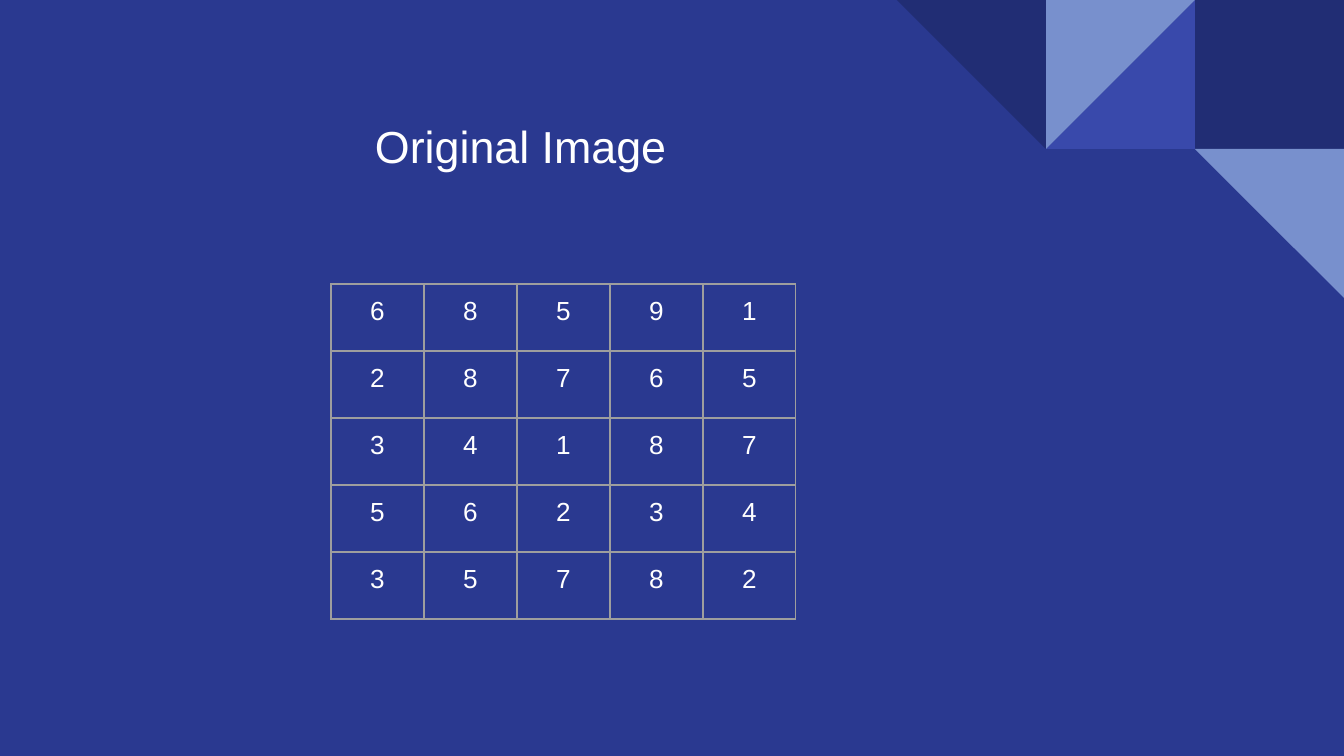
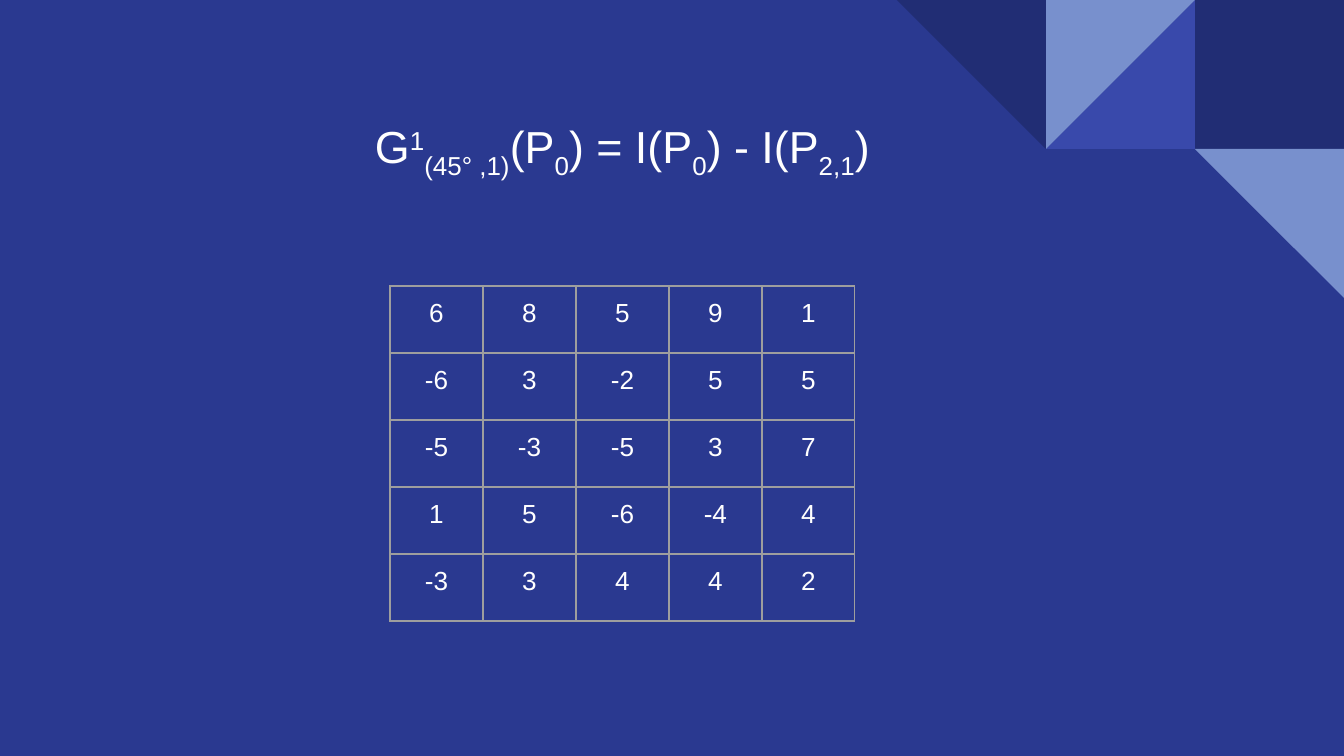
from lxml import etree
from pptx import Presentation
from pptx.dml.color import RGBColor
from pptx.enum import shapes, text
from pptx.oxml import ns
from pptx.util import Emu, Pt

WIDTH, HEIGHT = 1344, 756
TILE = 149
CELL_W, CELL_H = 93, 67
INSET = 13
FONT = "Arial"
BLUE, NAVY, INDIGO, SKY = "2A3990", "212D74", "3949AB", "7890CD"
WHITE, GREY = "FFFFFF", "9E9E9E"
SUP, SUB = 30, -25

CORNER_TILES = [
    (2, 0, "RECTANGLE", NAVY, 0, False),
    (1, 0, "RIGHT_TRIANGLE", INDIGO, 0, True),
    (1, 0, "RIGHT_TRIANGLE", SKY, 180, True),
    (0, 0, "RIGHT_TRIANGLE", NAVY, 180, False),
    (2, 1, "RIGHT_TRIANGLE", SKY, 180, False),
]

SLIDES = [
    {
        "title": [("Original Image", 0)],
        "title_box": (362, 106, 427, 86),
        "grid_at": (331, 284),
        "values": [
            [6, 8, 5, 9, 1],
            [2, 8, 7, 6, 5],
            [3, 4, 1, 8, 7],
            [5, 6, 2, 3, 4],
            [3, 5, 7, 8, 2],
        ],
    },
    {
        "title": [
            ("G", 0), ("1", SUP), ("(45° ,1)", SUB), ("(P", 0), ("0", SUB),
            (") = I(P", 0), ("0", SUB), (") - I(P", 0), ("2,1", SUB), (")", 0),
        ],
        "title_box": (362, 106, 618, 126),
        "grid_at": (390, 286),
        "values": [
            [6, 8, 5, 9, 1],
            [-6, 3, -2, 5, 5],
            [-5, -3, -5, 3, 7],
            [1, 5, -6, -4, 4],
            [-3, 3, 4, 4, 2],
        ],
    },
]


def px(n):
    return Emu(round(n * 914400 / 134.4))


def rgb(value):
    return RGBColor.from_string(value)


def set_text(tf, runs, size, color=WHITE, align=text.PP_ALIGN.LEFT):
    tf.word_wrap = True
    p = tf.paragraphs[0]
    p.alignment = align
    for words, baseline in runs:
        r = p.add_run()
        r.text = words
        r.font.name = FONT
        r.font.size = Pt(size)
        r.font.color.rgb = rgb(color)
        if baseline:
            r.font._element.set("baseline", str(baseline * 1000))


def set_margins(box):
    box.margin_left = box.margin_right = px(INSET)
    box.margin_top = box.margin_bottom = px(INSET)


def set_borders(cell, color=GREY, width=0.75):
    tc_pr = cell._tc.get_or_add_tcPr()
    for i, side in enumerate(("lnL", "lnR", "lnT", "lnB")):
        ln = etree.Element(ns.qn(f"a:{side}"), w=str(Pt(width)))
        fill = etree.SubElement(ln, ns.qn("a:solidFill"))
        etree.SubElement(fill, ns.qn("a:srgbClr"), val=color)
        tc_pr.insert(i, ln)


def add_corner(s, x, y):
    group = s.shapes.add_group_shape()
    for col, row, kind, color, rotation, flipped in CORNER_TILES:
        sp = group.shapes.add_shape(
            getattr(shapes.MSO_SHAPE, kind),
            px(x + col * TILE), px(y + row * TILE), px(TILE), px(TILE),
        )
        sp.shadow.inherit = False
        sp.fill.solid()
        sp.fill.fore_color.rgb = rgb(color)
        sp.line.fill.background()
        sp.rotation = rotation
        if flipped:
            sp._element.spPr.get_or_add_xfrm().set("flipH", "1")


def add_title(s, runs, box):
    tf = s.shapes.add_textbox(*map(px, box)).text_frame
    set_margins(tf)
    set_text(tf, runs, size=24)


def add_grid(s, values, x, y):
    rows, cols = len(values), len(values[0])
    table = s.shapes.add_table(
        rows, cols, px(x), px(y), px(cols * CELL_W), px(rows * CELL_H)
    ).table
    table.first_row = table.horz_banding = False
    for column in table.columns:
        column.width = px(CELL_W)
    for row, numbers in zip(table.rows, values):
        row.height = px(CELL_H)
        for cell, number in zip(row.cells, numbers):
            cell.fill.background()
            set_margins(cell)
            set_borders(cell)
            set_text(cell.text_frame, [(str(number), 0)], size=14,
                     align=text.PP_ALIGN.CENTER)


def add_matrix_slide(prs, title, title_box, grid_at, values):
    s = prs.slides.add_slide(prs.slide_layouts[6])
    s.background.fill.solid()
    s.background.fill.fore_color.rgb = rgb(BLUE)
    add_corner(s, WIDTH - 3 * TILE, 0)
    add_title(s, title, title_box)
    add_grid(s, values, *grid_at)


def main():
    prs = Presentation()
    prs.slide_width, prs.slide_height = px(WIDTH), px(HEIGHT)
    for content in SLIDES:
        add_matrix_slide(prs, **content)
    prs.save("out.pptx")


if __name__ == "__main__":
    main()
